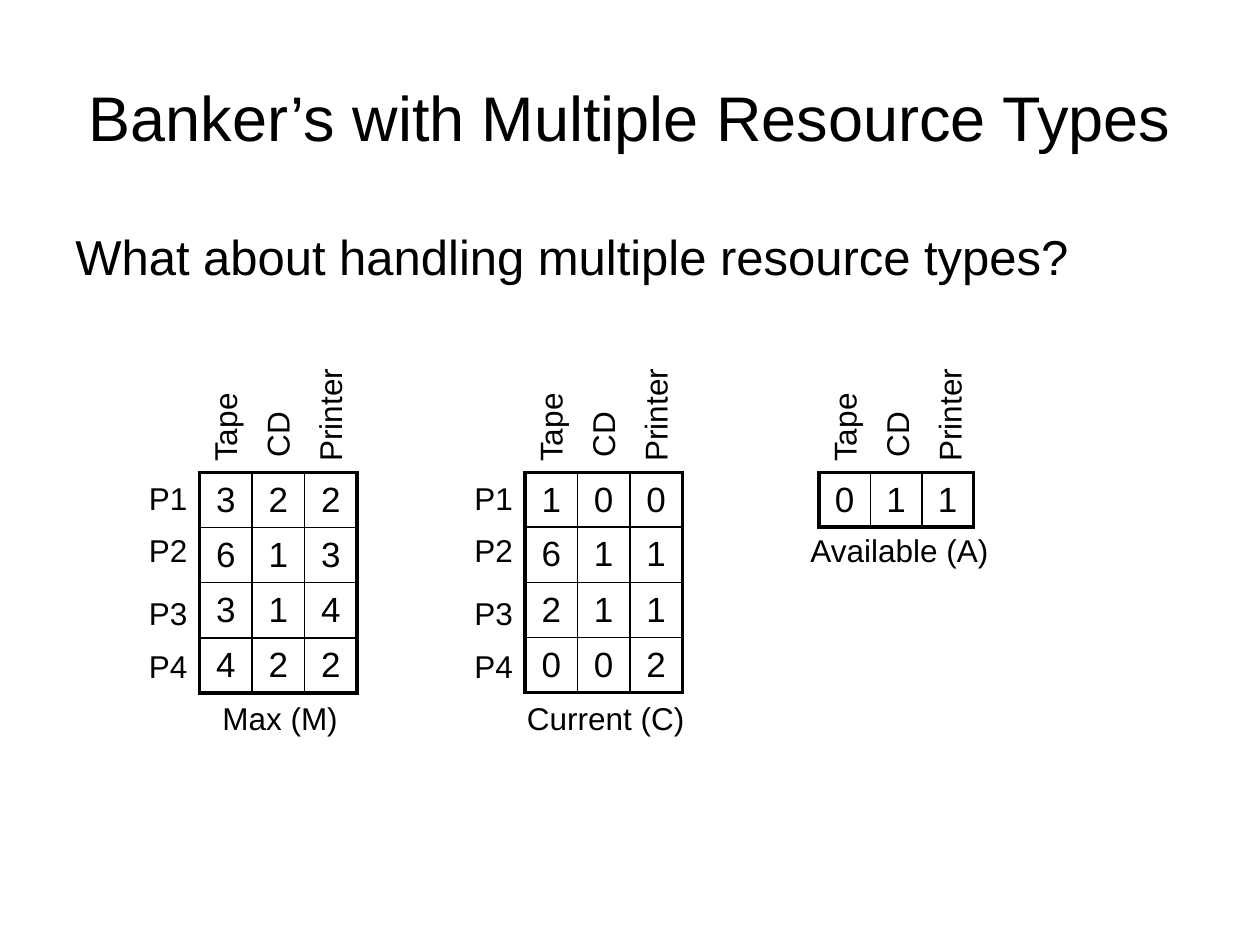
from lxml import etree
from pptx import Presentation
from pptx import util as u
from pptx.dml.color import RGBColor
from pptx.enum import text as t
from pptx.oxml import ns

COLORS = {"ink": "000000", "paper": "FFFFFF"}
FONT = "Arial"
WIDTH, HEIGHT = 10, 7.5
UNIT = WIDTH / 24  # square grid of 24 columns and 18 rows
LABEL_HEIGHT = 0.96

# Resource name, label width, row on which the upright label ends
RESOURCES = [("Tape", 1.85, 9.03), ("CD", 1.34, 8.95), ("Printer", 2.26, 9.03)]
# Process name and row
PROCESSES = [("P1", 9), ("P2", 10), ("P3", 11.2), ("P4", 12.2)]


def grid(value):
    return u.Inches(value * UNIT)


def write(frame, content, size, align=t.PP_ALIGN.LEFT, anchor=t.MSO_ANCHOR.TOP,
          wrap=True, before=0):
    frame.word_wrap = wrap
    frame.vertical_anchor = anchor
    paragraph = frame.paragraphs[0]
    paragraph.alignment = align
    paragraph.space_before = u.Pt(before)
    run = paragraph.add_run()
    run.text = content
    run.font.name = FONT
    run.font.size = u.Pt(size)
    run.font.color.rgb = RGBColor.from_string(COLORS["ink"])


class Board:
    """Holds the current slide and the style of its elements."""
    label_size, cell_size = 18, 20
    outer_line, inner_line = 2.25, 1

    def __init__(self, slide):
        self.slide = slide
        slide.background.fill.solid()
        slide.background.fill.fore_color.rgb = RGBColor.from_string(COLORS["paper"])

    def text(self, content, column, row, width, height, size, **style):
        shape = self.slide.shapes.add_textbox(
            grid(column), grid(row), grid(width), grid(height))
        write(shape.text_frame, content, size, **style)
        return shape

    def label(self, content, column, row, width):
        shape = self.text(content, column, row, width, LABEL_HEIGHT,
                          self.label_size, wrap=False)
        shape.text_frame.auto_size = t.MSO_AUTO_SIZE.SHAPE_TO_FIT_TEXT
        return shape

    def upright_label(self, content, center, bottom, width):
        row = bottom - width / 2 - LABEL_HEIGHT / 2
        self.label(content, center - width / 2, row, width).rotation = 270

    def border(self, cell, side, weight):
        properties = cell._tc.get_or_add_tcPr()
        line = etree.SubElement(properties, ns.qn("a:" + side), w=str(u.Pt(weight)))
        fill = etree.SubElement(line, ns.qn("a:solidFill"))
        etree.SubElement(fill, ns.qn("a:srgbClr"), val=COLORS["ink"])

    def table(self, values, column, row, cell_width, heights):
        rows, columns = len(values), len(values[0])
        table = self.slide.shapes.add_table(
            rows, columns, grid(column), grid(row),
            grid(cell_width * columns), grid(sum(heights))).table
        table.first_row = table.horz_banding = False
        for item in table.columns:
            item.width = grid(cell_width)
        for r, (line, height) in enumerate(zip(values, heights)):
            table.rows[r].height = grid(height)
            for c, value in enumerate(line):
                cell = table.cell(r, c)
                write(cell.text_frame, str(value), self.cell_size,
                      align=t.PP_ALIGN.CENTER)
                cell.vertical_anchor = t.MSO_ANCHOR.MIDDLE
                outer = {"lnL": c == 0, "lnR": c == columns - 1,
                         "lnT": r == 0, "lnB": r == rows - 1}
                for side, edge in outer.items():
                    self.border(cell, side, self.outer_line if edge else self.inner_line)
                cell.fill.background()

    def matrix(self, values, column, cell_width, heights, processes=()):
        self.table(values, column, 9, cell_width, heights)
        for name, row in processes:
            self.label(name, column - 1.2, row, 1.22)
        for index, (name, width, bottom) in enumerate(RESOURCES):
            self.upright_label(name, column + index + 0.48, bottom, width)


def main():
    presentation = Presentation()
    presentation.slide_width = u.Inches(WIDTH)
    presentation.slide_height = u.Inches(HEIGHT)
    board = Board(presentation.slides.add_slide(presentation.slide_layouts[6]))

    # Title and question
    board.text("Banker’s with Multiple Resource Types", 1.2, 0.72, 21.6, 3, 36,
               align=t.PP_ALIGN.CENTER, anchor=t.MSO_ANCHOR.MIDDLE)
    board.text("What about handling multiple resource types?",
               1.2, 4.2, 21.8, 2, 28, before=3)

    # Resource matrices
    board.matrix([(3, 2, 2), (6, 1, 3), (3, 1, 4), (4, 2, 2)],
                 3.8, 1, [1.05] * 4, PROCESSES)
    board.matrix([(1, 0, 0), (6, 1, 1), (2, 1, 1), (0, 0, 2)],
                 10, 1, [1] + [1.05] * 3, PROCESSES)
    board.matrix([(0, 1, 1)], 15.6, 0.98, [1.03])

    # Captions
    board.label("Max (M)", 4, 13.2, 2.69)
    board.label("Current (C)", 9.8, 13.2, 3.48)
    board.label("Available (A)", 15.2, 10, 3.89)

    presentation.save("out.pptx")


if __name__ == "__main__":
    main()
